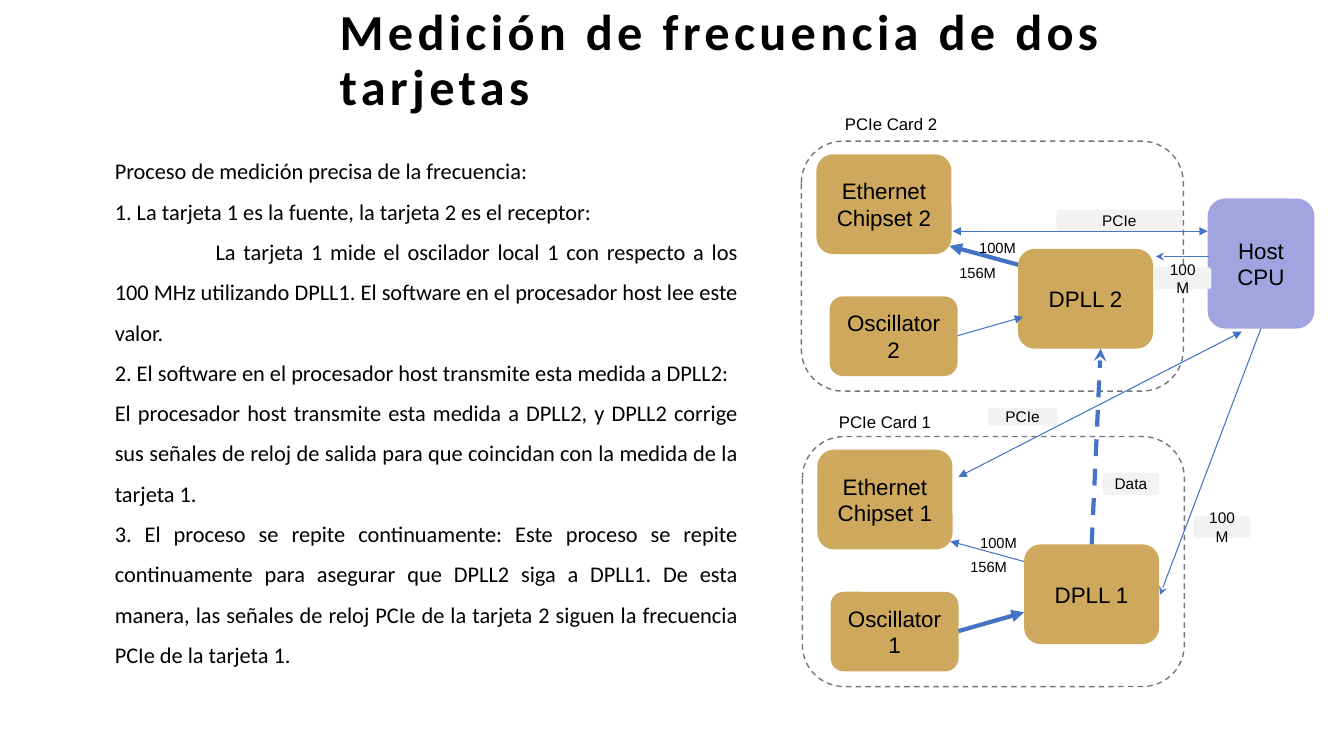
from lxml import etree
from pptx import Presentation
from pptx.dml.color import RGBColor
from pptx.enum.dml import MSO_LINE
from pptx.enum.shapes import MSO_CONNECTOR, MSO_SHAPE
from pptx.enum.text import MSO_ANCHOR, PP_ALIGN
from pptx.oxml.ns import qn
from pptx.util import Pt

ROUNDED = MSO_SHAPE.ROUNDED_RECTANGLE
STRAIGHT = MSO_CONNECTOR.STRAIGHT
DASH = MSO_LINE.DASH
MIDDLE, TOP = MSO_ANCHOR.MIDDLE, MSO_ANCHOR.TOP
LEFT, CENTER, JUSTIFY = PP_ALIGN.LEFT, PP_ALIGN.CENTER, PP_ALIGN.JUSTIFY

COLORS = {
    "text": "000000",
    "block": "CEA85C",
    "host": "A1A4DF",
    "label": "F2F2F2",
    "frame": "757778",
    "link": "4472C4",
}

PROCESS = [
    "Proceso de medición precisa de la frecuencia:",
    "1. La tarjeta 1 es la fuente, la tarjeta 2 es el receptor:",
    "La tarjeta 1 mide el oscilador local 1 con respecto a los 100 MHz utilizando "
    "DPLL1. El software en el procesador host lee este valor.",
    "2. El software en el procesador host transmite esta medida a DPLL2:",
    "El procesador host transmite esta medida a DPLL2, y DPLL2 corrige sus señales "
    "de reloj de salida para que coincidan con la medida de la tarjeta 1.",
    "3. El proceso se repite continuamente: Este proceso se repite continuamente "
    "para asegurar que DPLL2 siga a DPLL1. De esta manera, las señales de reloj "
    "PCIe de la tarjeta 2 siguen la frecuencia PCIe de la tarjeta 1.",
]
INDENTED = 2  # index of the paragraph with a first-line indent


def color(name):
    return RGBColor.from_string(COLORS[name])


def write(shape, paragraphs, size, font="Arial", bold=False, align=LEFT,
          anchor=TOP, line_spacing=None, margins=(7.2, 3.6)):
    """Fill a shape with paragraphs in one format and return its text frame."""
    frame = shape.text_frame
    frame.word_wrap = True
    frame.vertical_anchor = anchor
    frame.margin_left = frame.margin_right = Pt(margins[0])
    frame.margin_top = frame.margin_bottom = Pt(margins[1])
    for index, text in enumerate(paragraphs):
        paragraph = frame.paragraphs[0] if index == 0 else frame.add_paragraph()
        paragraph.alignment = align
        if line_spacing:
            paragraph.line_spacing = line_spacing
        run = paragraph.add_run()
        run.text = text
        run.font.name = font
        run.font.size = Pt(size)
        run.font.bold = bold
        run.font.color.rgb = color("text")
    return frame


class Diagram:
    """Draws the elements of one slide; every length is in points."""

    def __init__(self, slide):
        self.shapes = slide.shapes

    def text(self, paragraphs, left, top, width, height, **text_format):
        box = self.shapes.add_textbox(Pt(left), Pt(top), Pt(width), Pt(height))
        return write(box, paragraphs, **text_format)

    def rounded(self, left, top, width, height):
        shape = self.shapes.add_shape(ROUNDED, Pt(left), Pt(top), Pt(width), Pt(height))
        shape.shadow.inherit = False
        return shape

    def frame(self, left, top, width, height):
        shape = self.rounded(left, top, width, height)
        shape.fill.background()
        shape.line.color.rgb = color("frame")
        shape.line.width = Pt(1)
        shape.line.dash_style = DASH

    def block(self, text, left, top, width, height, fill="block", size=16):
        shape = self.rounded(left, top, width, height)
        shape.fill.solid()
        shape.fill.fore_color.rgb = color(fill)
        shape.line.fill.background()
        write(shape, [text], size=size, align=CENTER, anchor=MIDDLE)

    def label(self, text, left, top, width, height=15.8):
        self.block(text, left, top, width, height, fill="label", size=11)

    def link(self, start, end, width=0.75, head=None, tail=None, dash=None):
        """Draw a line with an arrowhead at its start (head) or end (tail)."""
        line = self.shapes.add_connector(
            STRAIGHT, Pt(start[0]), Pt(start[1]), Pt(end[0]), Pt(end[1]))
        line.line.color.rgb = color("link")
        line.line.width = Pt(width)
        if dash:
            line.line.dash_style = dash
        outline = line.line._get_or_add_ln()
        for tag, kind in (("a:headEnd", head), ("a:tailEnd", tail)):
            if kind:
                etree.SubElement(outline, qn(tag), type=kind)
        etree.SubElement(line._element.spPr, qn("a:effectLst"))

    def card(self, number, left, top, title_at, slow_clock_at, dpll_left,
             chipset_link_width, oscillator_link_width):
        """Draw one PCIe card; the inner places are relative to its corner."""
        def at(x, y):
            return left + x, top + y

        self.frame(left, top, 272.9, 178.6)
        self.text([f"PCIe Card {number}"], *at(*title_at), 106.6, 21.6,
                  size=12, align=CENTER)
        self.block(f"Ethernet Chipset {number}", *at(10.8, 9.4), 96.5, 71.3)
        self.block(f"Oscillator {number}", *at(20.2, 110.9), 91.4, 56.9)
        self.link(at(158.4, 89.3), at(105.8, 74.9), chipset_link_width, tail="triangle")
        for text, place in (("100M", (120, 65.9)), ("156M", slow_clock_at)):
            self.text([text], *at(*place), 43.2, 20.9, size=10.5)
        self.block(f"DPLL {number}", *at(dpll_left, 77), 96.5, 71.3)
        self.link(at(111.6, 139), at(158.4, 125.6), oscillator_link_width,
                  tail="triangle")


def main():
    presentation = Presentation()
    presentation.slide_width, presentation.slide_height = Pt(960), Pt(540)
    slide = presentation.slides.add_slide(presentation.slide_layouts[6])
    diagram = Diagram(slide)

    title = diagram.text(
        ["Medición de frecuencia de dos tarjetas"], 239, 24.5, 676.8, 38.9,
        size=36, font="Calibri", bold=True, anchor=MIDDLE, line_spacing=0.9,
        margins=(3.6, 1.44))
    title.paragraphs[0].runs[0].font._element.set("spc", "310")

    process = diagram.text(PROCESS, 74.9, 99.4, 459.4, 385.2, size=16,
                           font="Calibri", align=JUSTIFY, line_spacing=1.5)
    process.paragraphs[INDENTED]._p.get_or_add_pPr().set("indent", str(Pt(72)))

    diagram.card(2, 572.4, 100.8, title_at=(10.8, -23), slow_clock_at=(105.8, 84.2),
                 dpll_left=154.8, chipset_link_width=3, oscillator_link_width=0.75)
    diagram.card(1, 573.1, 311.8, title_at=(5.8, -20.9), slow_clock_at=(113, 82.8),
                 dpll_left=158.4, chipset_link_width=0.75, oscillator_link_width=3)

    diagram.label("PCIe", 754.6, 149.8, 90)
    diagram.link((680.4, 165.2), (862.6, 165.2), head="triangle", tail="triangle")
    diagram.block("Host CPU", 862.6, 141.8, 76.3, 92.9, fill="host")
    diagram.link((825.8, 183.2), (863.3, 183.2), head="stealth")
    diagram.label("100M", 824.4, 190.8, 41)
    diagram.link((887, 236.9), (684.7, 340.6), head="triangle", tail="triangle")
    diagram.label("PCIe", 705.6, 291.6, 49.7, 12.2)
    diagram.label("100M", 852.5, 368.6, 41)
    diagram.link((779.8, 388.8), (786.2, 249.1), 3, tail="stealth", dash=DASH)
    diagram.label("Data", 787.7, 337.7, 40.3)
    diagram.link((828.7, 424.8), (900.7, 234.7), head="stealth")

    presentation.save("out.pptx")


if __name__ == "__main__":
    main()
